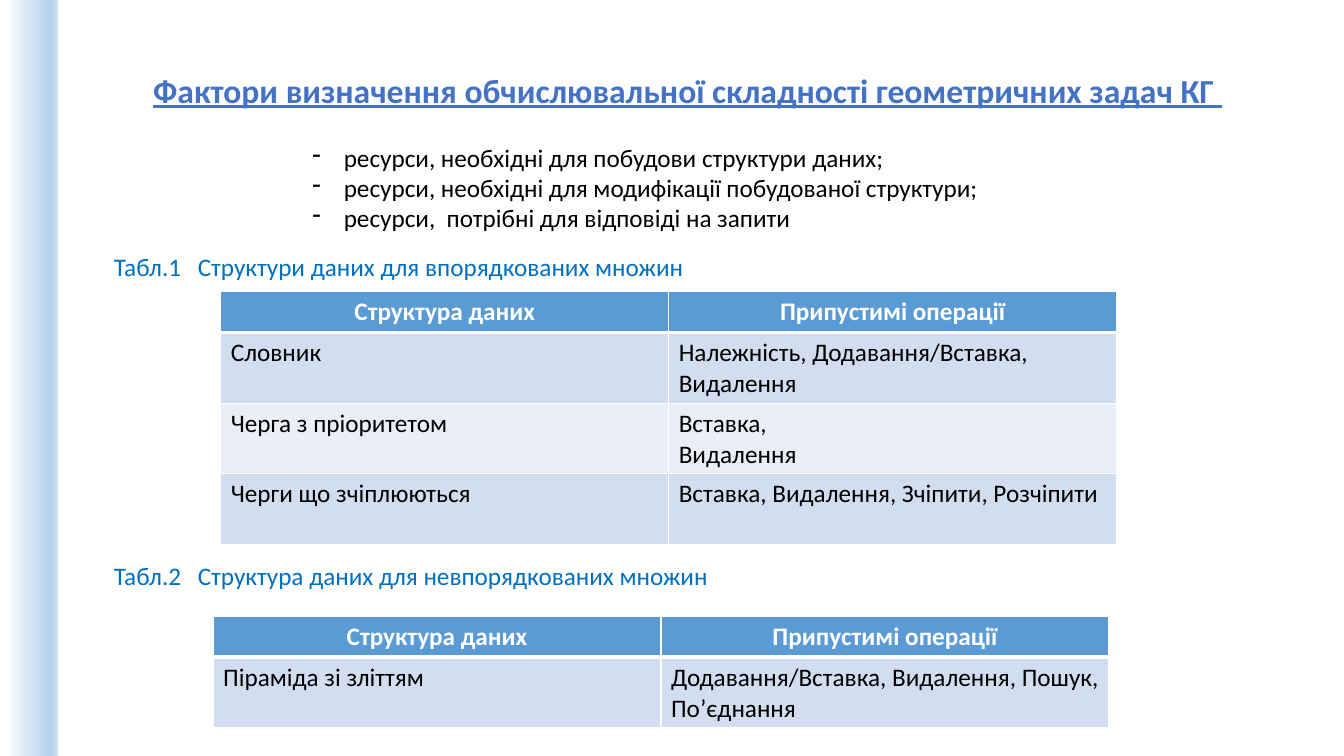
"""Builds a slide on the complexity factors of geometric problems, with two tables."""
from copy import deepcopy
from dataclasses import dataclass

from lxml import etree
from pptx import Presentation
from pptx.dml.color import RGBColor
from pptx.enum.shapes import MSO_SHAPE
from pptx.enum.text import MSO_ANCHOR, MSO_AUTO_SIZE, PP_ALIGN
from pptx.oxml.ns import qn
from pptx.slide import Slide
from pptx.table import _Cell
from pptx.text.text import TextFrame
from pptx.util import Pt

RECTANGLE = MSO_SHAPE.RECTANGLE
TOP = MSO_ANCHOR.TOP
NO_FIT = MSO_AUTO_SIZE.NONE
LEFT, CENTER = PP_ALIGN.LEFT, PP_ALIGN.CENTER

COLORS = {
    "title": "4472C4",
    "caption": "0070C0",
    "text": "000000",
    "white": "FFFFFF",
    "header": "5B9BD5",
    "band_dark": "D2DEEF",
    "band_light": "EAEFF7",
}
STRIPE_STOPS = [(0, "F7FAFD"), (0.83, "B5D2EC"), (1, "CEE1F2")]
FONT = "Calibri"
BODY_SIZE = 18
COLUMN_WIDTH = 320
HEADER_HEIGHT, ROW_HEIGHT = 29.5, 50.4
HEADINGS = ("Структура даних", "Припустимі операції")
TITLE = "Фактори визначення обчислювальної складності геометричних задач КГ "
RESOURCES = [
    "ресурси, необхідні для побудови структури даних;",
    "ресурси, необхідні для модифікації побудованої структури;",
    "ресурси,  потрібні для відповіді на запити",
]


@dataclass
class Section:
    """A caption and the table below it."""

    caption: str
    caption_top: float
    table_left: float
    table_top: float
    rows: list[tuple[str, str]]


SECTIONS = [
    Section("Табл.1\tСтруктури даних для впорядкованих множин", 175.7, 157.7, 208.1, [
        ("Словник", "Належність, Додавання/Вставка, Видалення"),
        ("Черга з пріоритетом", "Вставка,\nВидалення"),
        ("Черги що зчіплюються", "Вставка, Видалення, Зчіпити, Розчіпити"),
    ]),
    Section("Табл.2\tСтруктура даних для невпорядкованих множин", 396.7, 152.2, 440, [
        ("Піраміда зі зліттям", "Додавання/Вставка, Видалення, Пошук, По’єднання"),
    ]),
]


def format_text(frame: TextFrame, color: str, size: float = BODY_SIZE,
                bold: bool = False, align: PP_ALIGN = LEFT) -> None:
    """Formats every paragraph and run of a frame."""
    for para in frame.paragraphs:
        para.alignment = align
        for span in para.runs:
            span.font.name = FONT
            span.font.size = Pt(size)
            span.font.bold = bold
            span.font.color.rgb = RGBColor.from_string(COLORS[color])


def add_text(page: Slide, text: str, left: float, top: float,
             width: float, height: float, color: str) -> TextFrame:
    """Adds a wrapped text box and returns its frame."""
    frame = page.shapes.add_textbox(Pt(left), Pt(top), Pt(width), Pt(height)).text_frame
    frame.word_wrap = True
    frame.text = text
    format_text(frame, color)
    return frame


def add_stripe(page: Slide) -> None:
    """Adds the gradient stripe at the left edge."""
    stripe = page.shapes.add_shape(RECTANGLE, Pt(6.5), Pt(0), Pt(35.3), Pt(540))
    stripe.shadow.inherit = False
    stripe.line.fill.background()
    stripe.fill.gradient()
    stripe.fill.gradient_angle = 0
    stop_list = stripe._element.find(".//" + qn("a:gsLst"))
    stop_list.append(deepcopy(stop_list[-1]))
    for stop, (position, color) in zip(stripe.fill.gradient_stops, STRIPE_STOPS):
        stop.position = position
        stop.color.rgb = RGBColor.from_string(color)


def set_title(page: Slide) -> None:
    """Places and formats the title placeholder."""
    box = page.shapes.title
    box.left, box.top, box.width, box.height = Pt(102.2), Pt(46.1), Pt(785.5), Pt(36)
    frame = box.text_frame
    frame.text = TITLE
    frame.word_wrap = False
    frame.auto_size = NO_FIT
    frame.vertical_anchor = TOP
    format_text(frame, "title", 24, True)
    frame.paragraphs[0].runs[0].font.underline = True


def add_resources(page: Slide) -> None:
    """Adds the dashed list of resources."""
    frame = add_text(page, "\n".join(RESOURCES), 216, 97.9, 576, 72.7, "text")
    for para in frame.paragraphs:
        properties = para._p.get_or_add_pPr()
        properties.set("marL", str(Pt(22.5)))
        properties.set("indent", str(Pt(-22.5)))
        etree.SubElement(properties, qn("a:buChar"), char="-")


def add_caption(page: Slide, section: Section) -> None:
    """Adds a table caption with a tab stop after its number."""
    frame = add_text(page, section.caption, 74.2, section.caption_top, 555, 29, "caption")
    properties = frame.paragraphs[0]._p.get_or_add_pPr()
    tabs = etree.SubElement(properties, qn("a:tabLst"))
    etree.SubElement(tabs, qn("a:tab"), pos=str(Pt(60)), algn="l")


def set_borders(cell: _Cell, top: float, bottom: float) -> None:
    """Draws white borders around a cell."""
    properties = cell._tc.get_or_add_tcPr()
    for side, width in (("L", 1), ("R", 1), ("T", top), ("B", bottom)):
        line = etree.SubElement(properties, qn(f"a:ln{side}"), w=str(Pt(width)))
        fill = etree.SubElement(line, qn("a:solidFill"))
        etree.SubElement(fill, qn("a:srgbClr"), val=COLORS["white"])


def add_section_table(page: Slide, section: Section) -> None:
    """Adds the table of structures and operations."""
    rows = [HEADINGS, *section.rows]
    height = HEADER_HEIGHT + ROW_HEIGHT * len(section.rows)
    table = page.shapes.add_table(
        len(rows), len(HEADINGS), Pt(section.table_left), Pt(section.table_top),
        Pt(COLUMN_WIDTH * len(HEADINGS)), Pt(height)).table
    for row_index, texts in enumerate(rows):
        is_header = row_index == 0
        table.rows[row_index].height = Pt(HEADER_HEIGHT if is_header else ROW_HEIGHT)
        band = "band_dark" if row_index % 2 else "band_light"
        for column_index, text in enumerate(texts):
            cell = table.cell(row_index, column_index)
            set_borders(cell, 3 if row_index == 1 else 1, 3 if is_header else 1)
            cell.fill.solid()
            cell.fill.fore_color.rgb = RGBColor.from_string(
                COLORS["header" if is_header else band])
            cell.text_frame.text = text
            format_text(cell.text_frame, "white" if is_header else "text",
                        bold=is_header, align=CENTER if is_header else LEFT)


def main() -> None:
    """Builds and saves the deck."""
    deck = Presentation()
    deck.slide_width, deck.slide_height = Pt(960), Pt(540)
    page = deck.slides.add_slide(deck.slide_layouts.get_by_name("Title Only"))
    add_stripe(page)
    set_title(page)
    add_resources(page)
    for section in SECTIONS:
        add_caption(page, section)
        add_section_table(page, section)
    deck.save("out.pptx")


if __name__ == "__main__":
    main()
